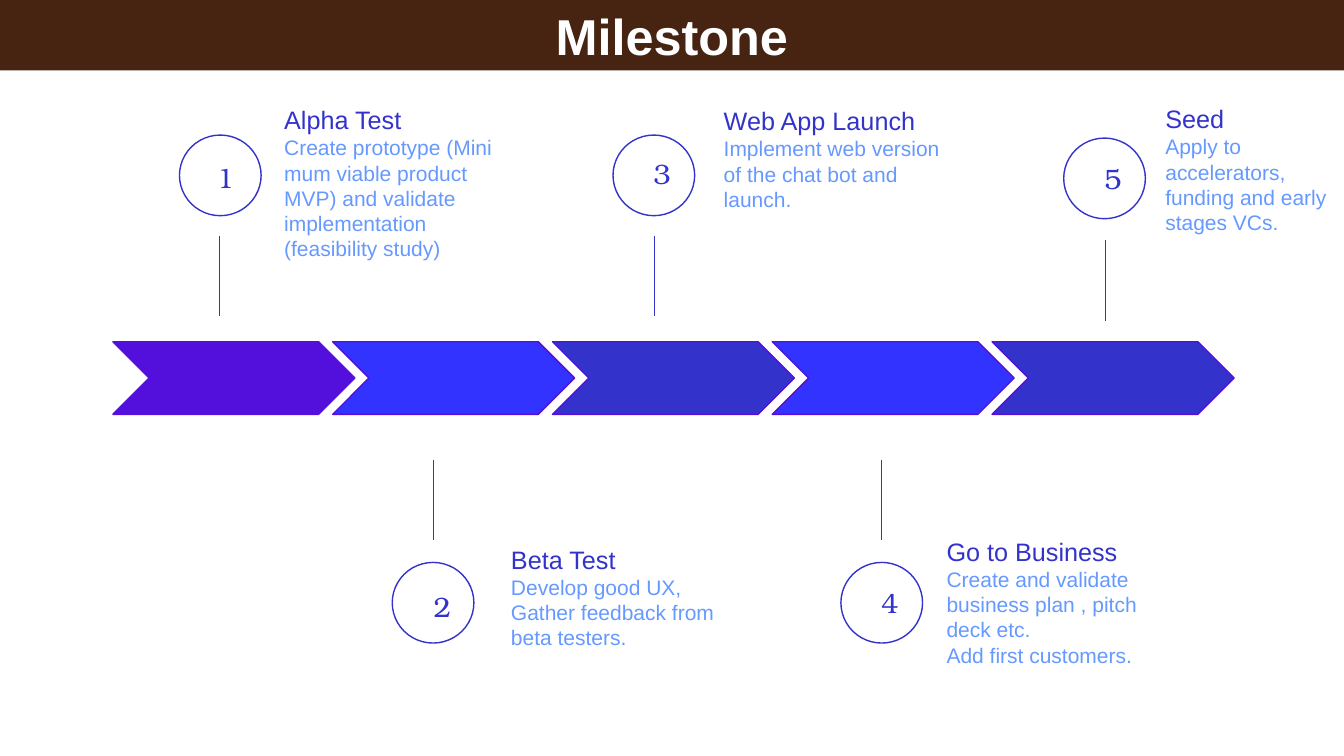
from dataclasses import dataclass

from lxml import etree
from pptx import Presentation
from pptx.dml.color import RGBColor
from pptx.enum.shapes import MSO_CONNECTOR, MSO_SHAPE
from pptx.enum.text import MSO_ANCHOR, PP_ALIGN
from pptx.oxml.ns import qn
from pptx.util import Inches, Pt

RECTANGLE, CHEVRON, OVAL = MSO_SHAPE.RECTANGLE, MSO_SHAPE.CHEVRON, MSO_SHAPE.OVAL
STRAIGHT = MSO_CONNECTOR.STRAIGHT
TOP, MIDDLE = MSO_ANCHOR.TOP, MSO_ANCHOR.MIDDLE
LEFT, CENTER = PP_ALIGN.LEFT, PP_ALIGN.CENTER


@dataclass(frozen=True)
class Theme:
    sans: str = "Arial"
    serif: str = "TeX Gyre Bonum"
    title_size: int = 36
    number_size: int = 20
    heading_size: int = 18
    body_size: int = 15
    banner: str = "462411"
    white: str = "FFFFFF"
    navy: str = "3333CC"
    blue: str = "3333FF"
    violet: str = "530FDB"
    sky: str = "6699FF"


class Timeline:
    def __init__(self, slide, theme):
        self.shapes = slide.shapes
        self.theme = theme

    def shape(self, kind, box, fill, outline=None):
        item = self.shapes.add_shape(kind, *map(Inches, box))
        item.shadow.inherit = False
        item.fill.solid()
        item.fill.fore_color.rgb = RGBColor.from_string(fill)
        if outline:
            item.line.color.rgb = RGBColor.from_string(outline)
            item.line.width = Pt(1)
        else:
            item.line.fill.background()
        return item

    def stem(self, x, top, length):
        line = self.shapes.add_connector(
            STRAIGHT, Inches(x), Inches(top), Inches(x), Inches(top + length))
        line.line.color.rgb = RGBColor.from_string(self.theme.navy)
        line.line.width = Pt(0.5)
        etree.SubElement(line._element.spPr, qn("a:effectLst"))

    def set_text(self, item, lines, font, align=LEFT, anchor=TOP, bold=False):
        """Fill a shape with (text, size, colour) lines."""
        frame = item.text_frame
        frame.word_wrap = True
        frame.vertical_anchor = anchor
        for index, (text, size, color) in enumerate(lines):
            paragraph = frame.add_paragraph() if index else frame.paragraphs[0]
            paragraph.text = text
            paragraph.alignment = align
            paragraph.font.name = font
            paragraph.font.size = Pt(size)
            paragraph.font.bold = bold
            paragraph.font.color.rgb = RGBColor.from_string(color)

    def banner(self, text):
        bar = self.shape(RECTANGLE, (0, 0, 13.33, 0.7), self.theme.banner)
        self.set_text(bar, [(text, self.theme.title_size, self.theme.white)],
                      self.theme.sans, CENTER, MIDDLE, bold=True)

    def badge(self, number, circle_at, number_at):
        theme = self.theme
        self.shape(OVAL, (*circle_at, 0.81, 0.8), theme.white, theme.navy)
        label = self.shape(RECTANGLE, (*number_at, 0.55, 0.44), theme.white)
        label.text_frame.margin_left = Inches(0.27)
        label.text_frame.margin_right = 0
        self.set_text(label, [(str(number), theme.number_size, theme.navy)], theme.serif)

    def description(self, box, heading, details):
        theme = self.theme
        item = self.shapes.add_textbox(*map(Inches, box))
        lines = [(heading, theme.heading_size, theme.navy)]
        lines += [(detail, theme.body_size, theme.sky) for detail in details]
        self.set_text(item, lines, theme.sans)


# Per milestone: stem start, circle, number, description box, heading, details
MILESTONES = [
    ((2.18, 2.34), (1.78, 1.34), (1.88, 1.54), (2.72, 0.99, 2.4, 1.67), "Alpha Test",
     ["Create prototype (Mini mum viable product MVP) and validate "
      "implementation (feasibility study)"]),
    ((4.3, 4.56), (3.89, 5.58), (4.03, 5.8), (4.97, 5.35, 2.5, 1.16), "Beta Test",
     ["Develop good UX, Gather feedback from beta testers."]),
    ((6.49, 2.34), (6.08, 1.34), (6.21, 1.5), (7.08, 1, 2.5, 1.16), "Web App Launch",
     ["Implement web version of the chat bot and launch."]),
    ((8.74, 4.56), (8.34, 5.58), (8.47, 5.76), (9.29, 5.27, 2.1, 1.41), "Go to Business",
     ["Create and validate business plan , pitch deck etc.", "Add first customers."]),
    ((10.96, 2.38), (10.55, 1.37), (10.68, 1.55), (11.46, 0.98, 1.87, 1.41), "Seed",
     ["Apply to accelerators, funding and early stages VCs."]),
]


def main():
    deck = Presentation()
    deck.slide_width, deck.slide_height = Inches(13.33), Inches(7.5)
    theme = Theme()
    timeline = Timeline(deck.slides.add_slide(deck.slide_layouts[6]), theme)

    # Title bar
    timeline.banner("Milestone")

    # Row of chevrons
    colors = [theme.violet, theme.blue, theme.navy, theme.blue, theme.navy]
    for step, color in enumerate(colors):
        timeline.shape(CHEVRON, (1.12 + 2.18 * step, 3.39, 2.4, 0.72), color, theme.violet)

    # Milestones alternating above and below the row
    for number, milestone in enumerate(MILESTONES, start=1):
        stem_at, circle_at, number_at, box, heading, details = milestone
        timeline.stem(*stem_at, 0.8)
        timeline.badge(number, circle_at, number_at)
        timeline.description(box, heading, details)

    deck.save("out.pptx")


if __name__ == "__main__":
    main()
